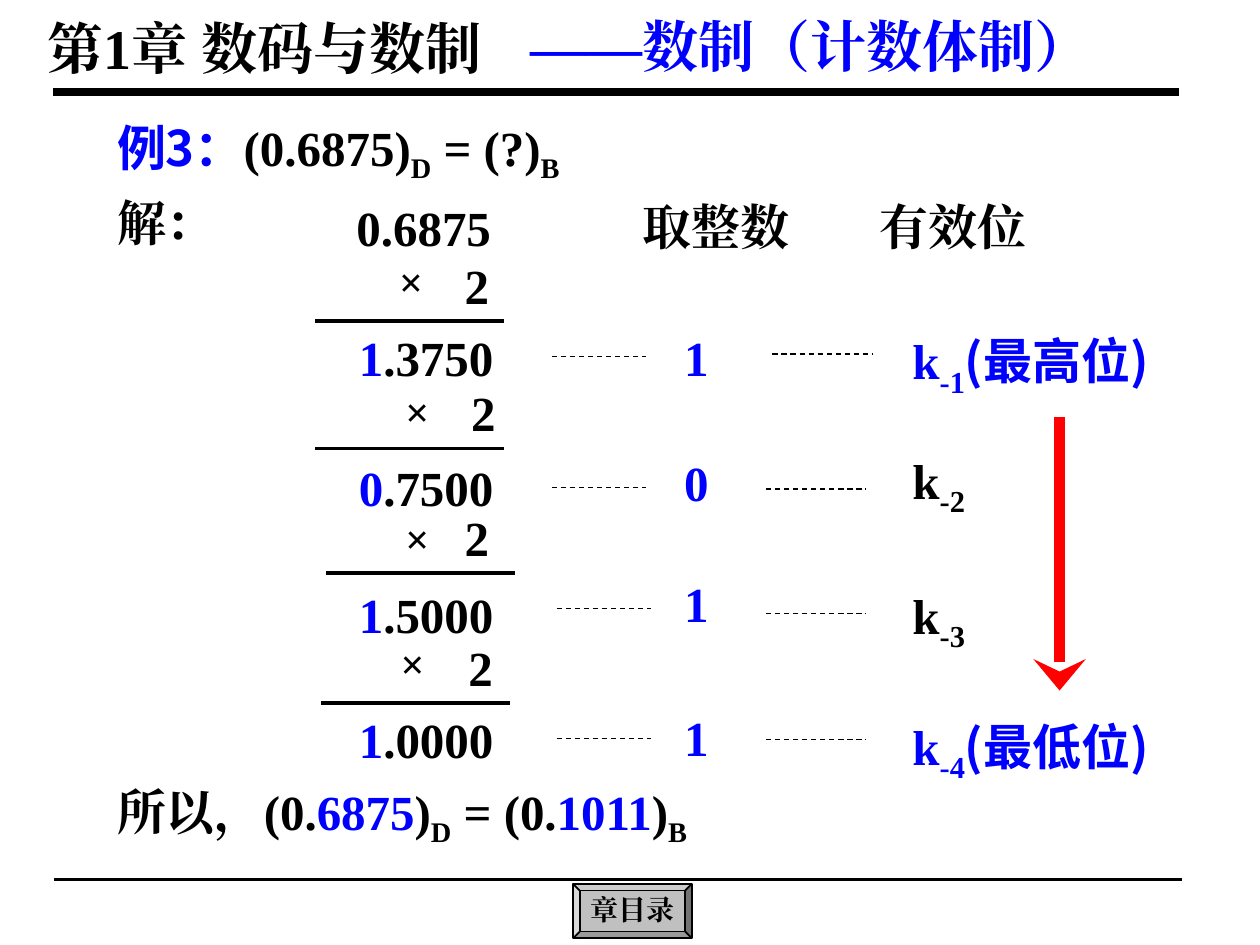
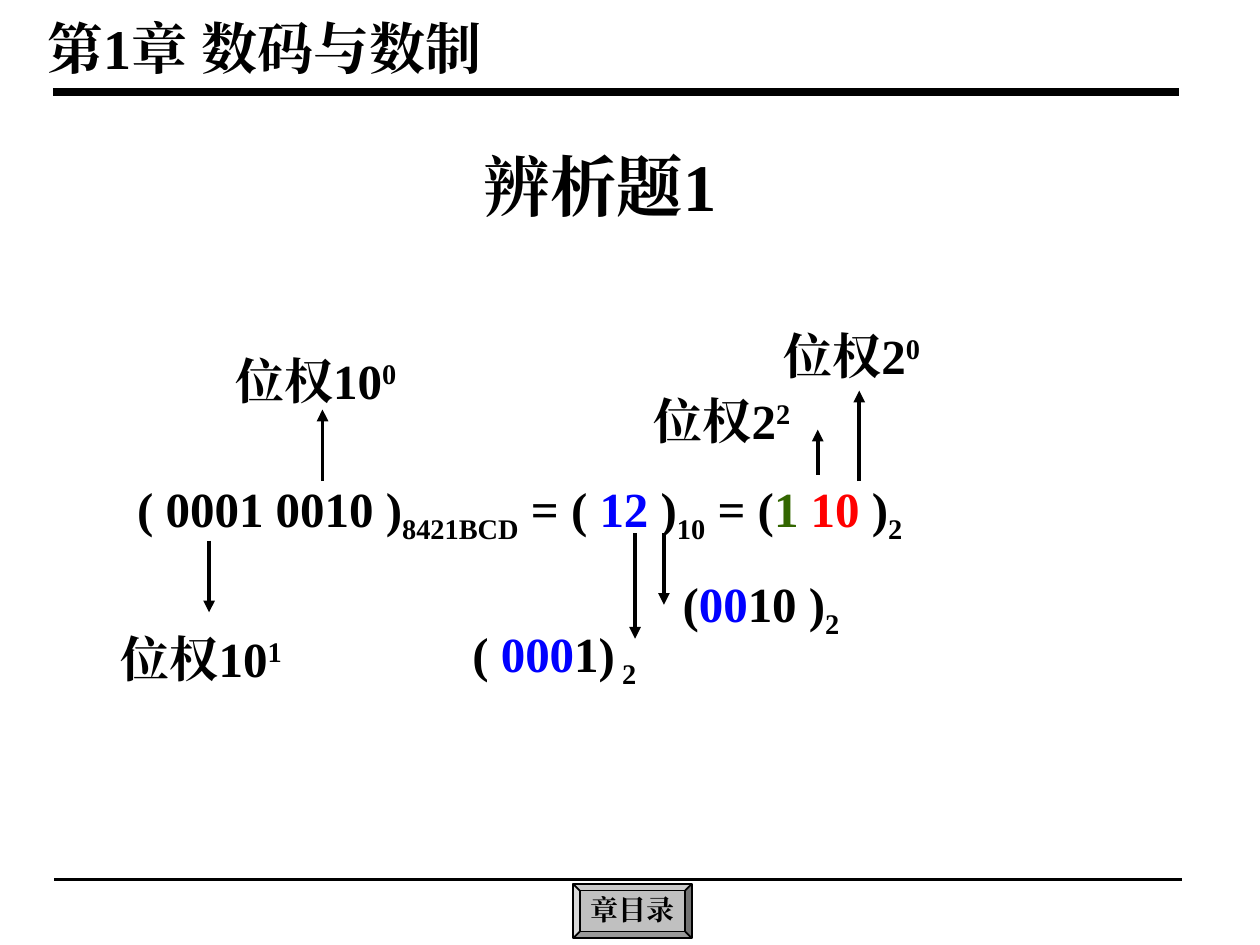
from dataclasses import dataclass
from typing import NamedTuple

from lxml import etree
from pptx import Presentation
from pptx.dml.color import RGBColor
from pptx.enum.dml import MSO_LINE_DASH_STYLE as Dash
from pptx.enum.shapes import MSO_CONNECTOR as Connector, MSO_SHAPE as Preset
from pptx.enum.text import MSO_ANCHOR as Anchor, PP_ALIGN as Align
from pptx.oxml.ns import qn
from pptx.util import Pt

COLORS = {"black": "000000", "blue": "0000FF", "red": "FF0000",
          "green": "336600", "grey": "C0C0C0"}
SERIF, SANS = "Times New Roman", "Noto Sans CJK SC"
SUB, SUPER = -25, 30


class Piece(NamedTuple):
    """A run of text with its own look."""
    text: str
    color: str = "black"
    shift: int = 0
    size: float = 28
    font: str = SERIF


@dataclass
class Label:
    """A text box."""
    left: float
    top: float
    width: float
    height: float
    pieces: list[Piece]
    wrap: bool = True


@dataclass
class Line:
    """A straight line, with an arrowhead if one is named."""
    x1: float
    y1: float
    x2: float
    y2: float
    weight: float = 2.25
    color: str = "black"
    head: str = ""
    head_width: str = "med"
    dashed: bool = False


class Multiplication(NamedTuple):
    times_left: float
    times_top: float
    two_left: float
    two_top: float
    rule_left: float
    rule_top: float


class Digit(NamedTuple):
    """One binary digit: its product, dashes and bit name."""
    value: str
    fraction: str
    product_top: float
    first_dash: tuple[float, float]
    value_top: float
    second_dash: tuple[float, float]
    bit_top: float
    note: str = ""


def color_of(name: str) -> RGBColor:
    return RGBColor.from_string(COLORS[name])


def write(frame, pieces: list[Piece], align=Align.LEFT, wrap: bool = True,
          anchor=Anchor.TOP, inset_x: float = 7.2, inset_y: float = 3.6) -> None:
    frame.word_wrap = wrap
    frame.vertical_anchor = anchor
    frame.margin_left = frame.margin_right = Pt(inset_x)
    frame.margin_top = frame.margin_bottom = Pt(inset_y)
    paragraph = frame.paragraphs[0]
    paragraph.alignment = align
    paragraph.space_before = Pt(0)
    for piece in pieces:
        run = paragraph.add_run()
        run.text = piece.text
        run.font.size = Pt(piece.size)
        run.font.bold = True
        run.font.name = piece.font
        run.font.color.rgb = color_of(piece.color)
        properties = run._r.get_or_add_rPr()
        east_asian = etree.Element(qn("a:ea"), typeface=piece.font)
        properties.find(qn("a:latin")).addnext(east_asian)
        if piece.shift:
            properties.set("baseline", str(piece.shift * 1000))


def place(shape, left: float, top: float, width: float, height: float) -> None:
    shape.left, shape.top = Pt(left), Pt(top)
    shape.width, shape.height = Pt(width), Pt(height)


def add_label(slide, label: Label) -> None:
    shape = slide.shapes.add_textbox(Pt(label.left), Pt(label.top),
                                     Pt(label.width), Pt(label.height))
    write(shape.text_frame, label.pieces, wrap=label.wrap)


def add_line(slide, line: Line) -> None:
    shape = slide.shapes.add_connector(Connector.STRAIGHT, Pt(line.x1), Pt(line.y1),
                                       Pt(line.x2), Pt(line.y2))
    shape.line.width = Pt(line.weight)
    shape.line.color.rgb = color_of(line.color)
    if line.dashed:
        shape.line.dash_style = Dash.DASH
    if line.head:
        etree.SubElement(shape.line._get_or_add_ln(), qn("a:tailEnd"),
                         type=line.head, w=line.head_width, len="med")
    etree.SubElement(shape._element.spPr, qn("a:effectLst"))


def add_dash(slide, start: tuple[float, float], length: float) -> None:
    x, y = start
    add_line(slide, Line(x, y, x + length, y, weight=0.75, dashed=True))


def start_slide(presentation):
    """Add a slide with the chapter heading, both rules and the contents button."""
    slide = presentation.slides.add_slide(presentation.slide_layouts[5])
    add_line(slide, Line(31, 502.6, 675.4, 502.6))
    add_label(slide, Label(20.2, 4.3, 333.4, 46, [Piece("第1章 数码与数制", size=32)]))
    add_line(slide, Line(30.2, 52.5, 674, 52.5, weight=4.5))

    button = slide.shapes.add_shape(Preset.BEVEL, Pt(327.6), Pt(505.2), Pt(67.7), Pt(30.9))
    button.adjustments[0] = 0.12
    button.shadow.inherit = False
    button.fill.solid()
    button.fill.fore_color.rgb = color_of("grey")
    button.line.color.rgb = color_of("black")
    button.line.width = Pt(1)
    write(button.text_frame, [Piece("章目录", size=16)], Align.CENTER,
          anchor=Anchor.MIDDLE, inset_x=2.9, inset_y=2.9)
    button.text_frame.paragraphs[0].line_spacing = 0.9
    return slide


def build_conversion(presentation) -> None:
    slide = start_slide(presentation)
    title = slide.shapes.title
    place(title, 295.9, 2.9, 380.2, 46)
    write(title.text_frame, [Piece("——数制（计数体制）", "blue", size=32)])

    # Question, column heads and answer
    for label in (
        Label(59.8, 63.4, 295.2, 45.4, [
            Piece("例3：", "blue", font=SANS), Piece("(0.6875)"), Piece("D", shift=SUB),
            Piece(" = (?)"), Piece("B", shift=SUB)]),
        Label(59.8, 106.6, 120.2, 41, [Piece("解：")]),
        Label(196.6, 109.4, 108, 41, [Piece("0.6875")]),
        Label(360, 108.7, 113.8, 41, [Piece("取整数")]),
        Label(495.4, 108.7, 98.6, 41, [Piece("有效位")]),
        Label(59.8, 442.8, 612, 45.4, [
            Piece("所以，(0."), Piece("6875", "blue"), Piece(")"), Piece("D", shift=SUB),
            Piece(" = (0."), Piece("1011", "blue"), Piece(")"), Piece("B", shift=SUB)]),
    ):
        add_label(slide, label)

    # Multiplications by two
    for step in (
        Multiplication(221, 142.6, 258.5, 142.6, 180, 183.6),
        Multiplication(224.6, 216.7, 262.1, 215.3, 180, 256.3),
        Multiplication(224.6, 289.4, 258.5, 286.6, 186.5, 327.6),
        Multiplication(221.8, 360.7, 260.6, 360.7, 183.6, 401.8),
    ):
        add_label(slide, Label(step.times_left, step.times_top, 28, 36,
                               [Piece("×", size=24)], wrap=False))
        add_label(slide, Label(step.two_left, step.two_top, 47.5, 41, [Piece("2")]))
        add_line(slide, Line(step.rule_left, step.rule_top,
                             step.rule_left + 108, step.rule_top))

    # Products, integer digits and bit names
    digits = (
        Digit("1", ".3750", 183.6, (315.4, 203.8), 183.6, (441.4, 202.3), 183.6, "(最高位)"),
        Digit("0", ".7500", 257.8, (315.4, 278.6), 254.9, (437.8, 279.4), 252),
        Digit("1", ".5000", 330.5, (318.2, 347.8), 324, (437.8, 350.6), 329),
        Digit("1", ".0000", 401.8, (318.2, 421.9), 401, (437.8, 422.6), 403.9, "(最低位)"),
    )
    for position, digit in enumerate(digits, start=1):
        value = Piece(digit.value, "blue")
        add_label(slide, Label(198, digit.product_top, 108, 41,
                               [value, Piece(digit.fraction)]))
        add_dash(slide, digit.first_dash, 54)
        add_label(slide, Label(383.8, digit.value_top, 48.2, 41, [value]))
        add_dash(slide, digit.second_dash, 57.2)
        color = "blue" if digit.note else "black"
        bit = [Piece("k", color), Piece(f"-{position}", color, SUB, 30)]
        if digit.note:
            bit.append(Piece(digit.note, color, font=SANS))
        add_label(slide, Label(514.3, digit.bit_top, 170, 48.2, bit))

    # Reading direction
    add_line(slide, Line(605.5, 238.3, 605.5, 394.6, 6, "red", "stealth", "lg"))


def build_discussion(presentation) -> None:
    slide = start_slide(presentation)
    title = slide.shapes.title
    place(title, 262.8, 79.2, 160.6, 41)
    write(title.text_frame, [Piece("辨析题1", size=38)], Align.CENTER)

    # Equation and the codes of its digits
    for label in (
        Label(71.3, 270, 609.8, 45.4, [
            Piece("( 0001 0010 )"), Piece("8421BCD", shift=SUB), Piece(" = ( "),
            Piece("12 ", "blue"), Piece(")"), Piece("10", shift=SUB), Piece(" = ("),
            Piece("1", "green"), Piece(" 10", "red"), Piece(" )"), Piece("2", shift=SUB)]),
        Label(262.8, 352.8, 121.7, 45.4, [
            Piece("( "), Piece("000", "blue"), Piece("1)"), Piece(" 2", shift=SUB)]),
        Label(383, 324, 113, 45.4, [
            Piece("("), Piece("00", "blue"), Piece("10 )"), Piece("2", shift=SUB)]),
    ):
        add_label(slide, label)

    # Place weights
    for left, top, base, power in (
        (127.4, 196.6, "10", "0"), (440.6, 182.2, "2", "0"),
        (366.5, 219.6, "2", "2"), (61.9, 355.7, "10", "1"),
    ):
        add_label(slide, Label(left, top, 121.7, 41,
                               [Piece(f"位权{base}"), Piece(power, shift=SUPER)]))

    # Arrows from the digits
    for x, start, end in (
        (362.9, 304.6, 365), (379.4, 304.6, 345.6), (491, 275, 223.2),
        (467.3, 271.4, 245.5), (119.5, 308.9, 349.9), (184.3, 275, 234),
    ):
        add_line(slide, Line(x, start, x, end, head="triangle"))


def main() -> None:
    presentation = Presentation()
    presentation.slide_width, presentation.slide_height = Pt(720), Pt(540)
    build_conversion(presentation)
    build_discussion(presentation)
    presentation.save("out.pptx")


if __name__ == "__main__":
    main()
